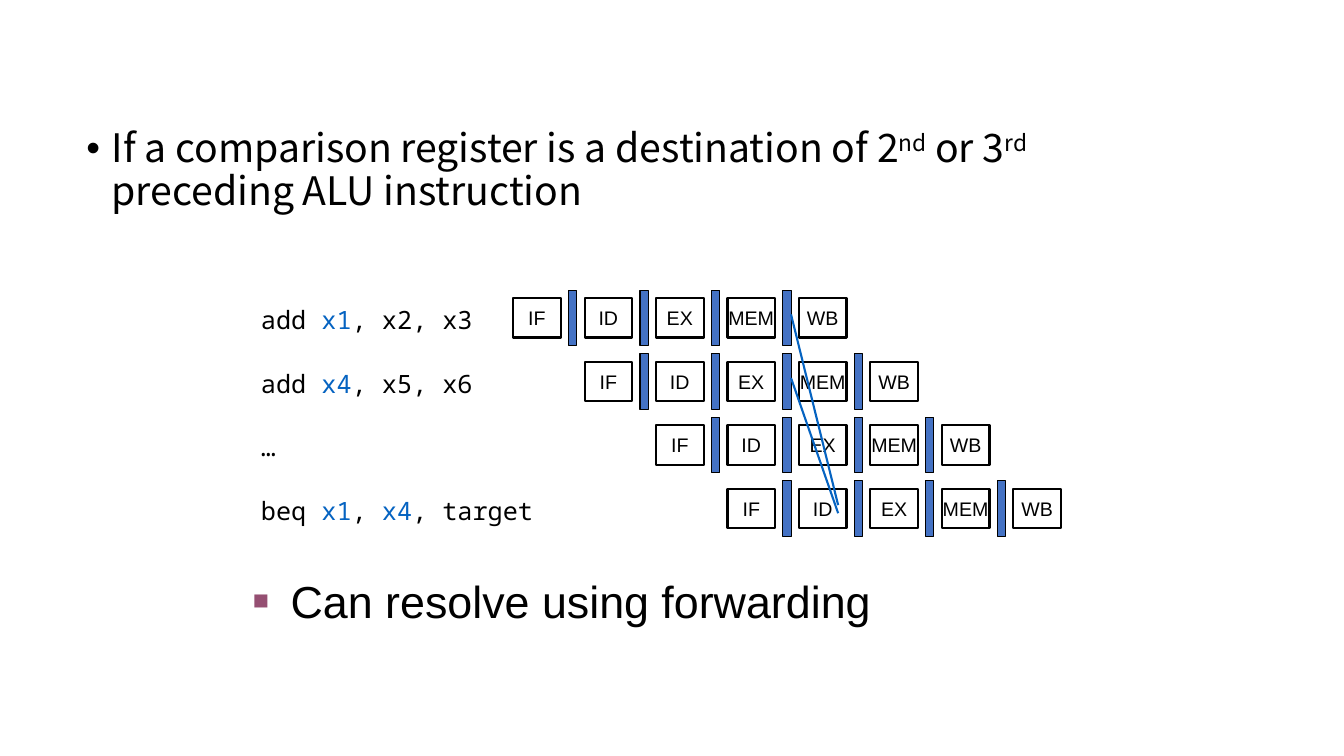
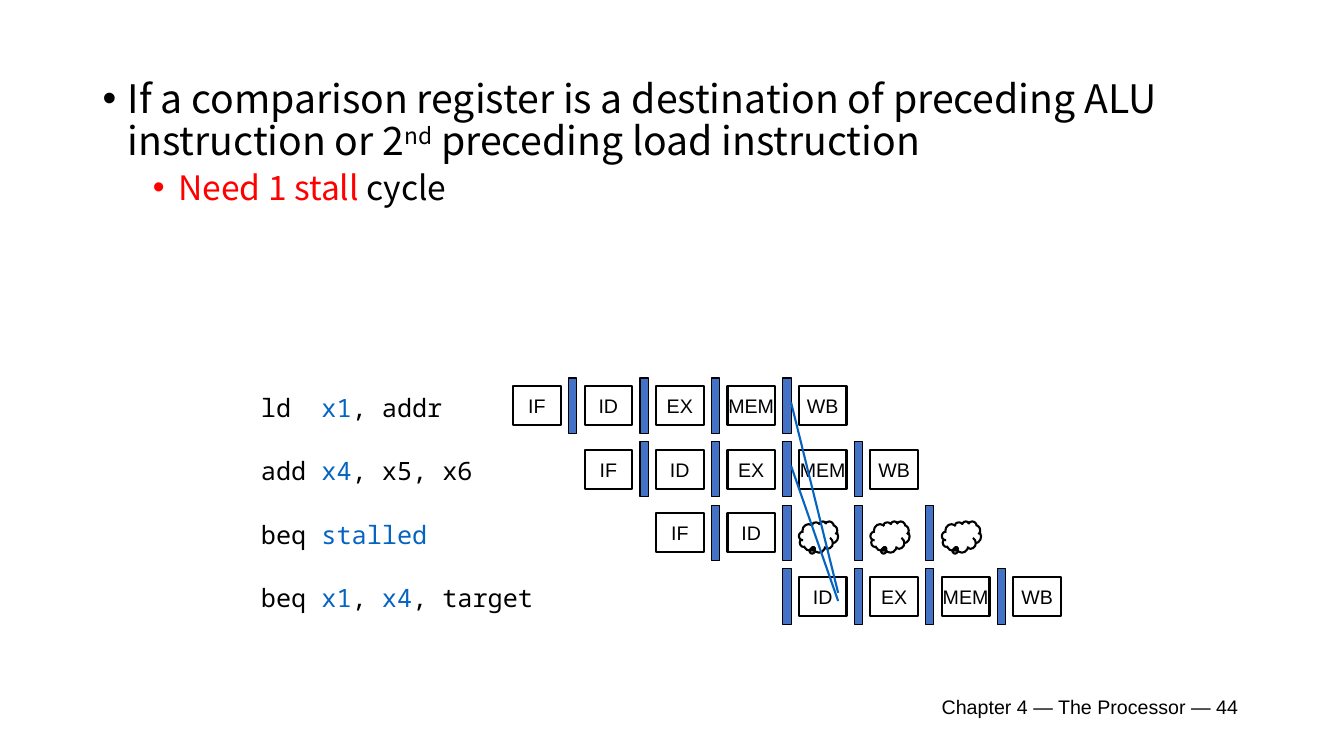
from lxml import etree
from pptx import Presentation
from pptx.dml.color import RGBColor
from pptx.enum.shapes import MSO_CONNECTOR, MSO_SHAPE
from pptx.enum.text import MSO_ANCHOR, MSO_AUTO_SIZE, PP_ALIGN
from pptx.oxml.ns import qn
from pptx.util import Pt

INK = RGBColor(0x00, 0x00, 0x00)
BAR = RGBColor(0x44, 0x72, 0xC4)
BLUE = RGBColor(0x05, 0x63, 0xC1)
RED = RGBColor(0xFF, 0x00, 0x00)
PLUM = RGBColor(0x95, 0x4F, 0x72)

SANS, ARIAL, MONO = "Noto Sans CJK SC", "Arial", "Noto Sans Mono"
RECT, CLOUD = MSO_SHAPE.RECTANGLE, MSO_SHAPE.CLOUD_CALLOUT
LINE = MSO_CONNECTOR.STRAIGHT
MIDDLE, CENTER = MSO_ANCHOR.MIDDLE, PP_ALIGN.CENTER
GROW = MSO_AUTO_SIZE.SHAPE_TO_FIT_TEXT

COL, ROW = 51.05, 45.4     # pitch of the stage grid
BOX_W, BOX_H = 34, 28
BAR_W, BAR_H = 5.8, 39.6
BAR_X = 39.6               # offset of a bar from the stage before it
CODE_X = 187.2             # code column lies this far left of the grid
CHAR = 11                  # width of one code character
STALL = "stall"
STAGES = ["IF", "ID", "EX", "MEM", "WB"]


def points(*nums):
    """Turn numbers into lengths in points."""
    return [Pt(num) for num in nums]


def lift(run):
    """Raise a run as superscript."""
    run.font._element.set("baseline", "30000")


def tint(color):
    """Return a marker that colours a run."""
    def mark(run):
        run.font.color.rgb = color
    return mark


def write(para, parts, size, face, mark=None):
    """Fill a paragraph with runs; every second part gets the mark."""
    for i, part in enumerate(parts):
        if not part:
            continue
        run = para.add_run()
        run.text = part
        run.font.size, run.font.name = Pt(size), face
        run.font.color.rgb = INK
        if i % 2:
            mark(run)


def bullet(para, char, left, hang, color=None, scale=None):
    """Give a paragraph a hanging bullet."""
    props = para._p.get_or_add_pPr()
    props.set("marL", str(Pt(left)))
    props.set("indent", str(Pt(-hang)))
    if color is not None:
        fill = etree.SubElement(props, qn("a:buClr"))
        etree.SubElement(fill, qn("a:srgbClr"), val=str(color))
    if scale:
        etree.SubElement(props, qn("a:buSzPct"), val=str(scale * 1000))
    etree.SubElement(props, qn("a:buFont"), typeface=ARIAL)
    etree.SubElement(props, qn("a:buChar"), char=char)


def text(slide, box, wrap=True):
    """Add a text box and return its frame."""
    frame = slide.shapes.add_textbox(*points(*box)).text_frame
    frame.word_wrap = wrap
    return frame


def body(slide, box, parts, sub=None):
    """Add the main point and an optional point below it."""
    frame = text(slide, box)
    para = frame.paragraphs[0]
    write(para, parts, 28, SANS, lift)
    bullet(para, "•", 18, 18)
    para.line_spacing, para.space_before = 0.9, Pt(10)
    if sub:
        para = frame.add_paragraph()
        para.level = 1
        write(para, sub, 24, SANS, tint(RED))
        bullet(para, "•", 54, 18, RED)
        para.line_spacing, para.space_before = 0.9, Pt(5)


def remark(slide, box, words):
    """Add the closing remark with its square bullet."""
    para = text(slide, box).paragraphs[0]
    write(para, [words], 32, ARIAL)
    bullet(para, "■", 27, 27, PLUM, 60)
    para.space_before = Pt(4)


def footer(slide, box, words):
    """Add the chapter line at the foot."""
    frame = text(slide, box)
    frame.vertical_anchor = MIDDLE
    frame.paragraphs[0].alignment = CENTER
    write(frame.paragraphs[0], [words], 14, ARIAL)


def outline(group, kind, box, weight, fill=None):
    """Add a black outlined shape, hollow unless a fill is given."""
    shape = group.shapes.add_shape(kind, *points(*box))
    shape.shadow.inherit = False
    if fill is None:
        shape.fill.background()
    else:
        shape.fill.solid()
        shape.fill.fore_color.rgb = fill
    shape.line.color.rgb, shape.line.width = INK, Pt(weight)
    return shape


def stage(group, left, top, name):
    """Draw one named stage box, or a cloud for a stall."""
    if name == STALL:
        cloud = outline(group, CLOUD, (left, top + 5.8, 28, 22.3), 1.5)
        cloud.adjustments[0], cloud.adjustments[1] = -0.13, 0.36
        return
    frame = outline(group, RECT, (left, top, BOX_W, BOX_H), 1.5).text_frame
    frame.word_wrap, frame.vertical_anchor = False, MIDDLE
    frame.paragraphs[0].alignment = CENTER
    write(frame.paragraphs[0], [name], 14, ARIAL)


def lane(slide, left, top, names):
    """Draw the stages of one instruction with bars between them."""
    group = slide.shapes.add_group_shape()
    for i, name in enumerate(names):
        if name:
            stage(group, left + i * COL, top, name)
    for i in range(len(names) - 1):
        bar = (left + i * COL + BAR_X, top - 5.8, BAR_W, BAR_H)
        outline(group, RECT, bar, 0.75, BAR)


def code(slide, left, top, parts):
    """Write one instruction; every second part is blue."""
    width = 14.4 + CHAR * len("".join(parts))
    frame = text(slide, (left, top, width, 28.8), False)
    frame.auto_size = GROW
    write(frame.paragraphs[0], parts, 18, MONO, tint(BLUE))


def forward(slide, left, top, row, drop):
    """Draw a forwarding line from a row's fourth bar to the last ID."""
    start = left + 3 * COL + BAR_X + BAR_W, top + row * ROW + 11.5
    end = left + 4 * COL + 28, top + 3 * ROW + drop
    wire = slide.shapes.add_connector(LINE, *points(*start, *end))
    wire.line.color.rgb, wire.line.width = BLUE, Pt(1.5)
    etree.SubElement(wire._element.spPr, qn("a:effectLst"))


def pipeline(slide, left, top, rows):
    """Draw the staggered pipeline with its code and forwarding lines."""
    for i, (parts, names) in enumerate(rows):
        lane(slide, left + i * COL, top + i * ROW, names)
        code(slide, left - CODE_X, top + i * ROW + 0.7, parts)
    for row, drop in enumerate((11.5, 17.3)):
        forward(slide, left, top, row, drop)


ADD = ["add ", "x4", ", x5, x6"]
BEQ = ["beq ", "x1", ", ", "x4", ", target"]


def resolved(slide):
    """Build the slide on hazards that forwarding resolves."""
    body(slide, (54.7, 88.6, 770.4, 96.5),
         ["If a comparison register is a destination of 2", "nd",
          " or 3", "rd", " preceding ALU instruction"])
    pipeline(slide, 366.5, 213.1, [
        (["add ", "x1", ", x2, x3"], STAGES),
        (ADD, STAGES),
        (["…"], STAGES),
        (BEQ, STAGES)])
    remark(slide, (173.5, 406.1, 612, 51.1), "Can resolve using forwarding")


def stalled(slide):
    """Build the slide on hazards that need one stall."""
    body(slide, (66.2, 53.3, 781.9, 187.2),
         ["If a comparison register is a destination of preceding ALU "
          "instruction or 2", "nd", " preceding load instruction"],
         ["", "Need 1 stall ", "cycle"])
    footer(slide, (658, 490.3, 241.2, 28.8), "Chapter 4 — The Processor — 44")
    pipeline(slide, 366.5, 275.8, [
        (["ld  ", "x1", ", addr"], STAGES),
        (ADD, STAGES),
        (["beq ", "stalled"], STAGES[:2] + [STALL] * 3),
        (BEQ, [""] + STAGES[1:])])


deck = Presentation()
deck.slide_width, deck.slide_height = points(960, 540)
for build in (resolved, stalled):
    build(deck.slides.add_slide(deck.slide_layouts[6]))
deck.save("out.pptx")
